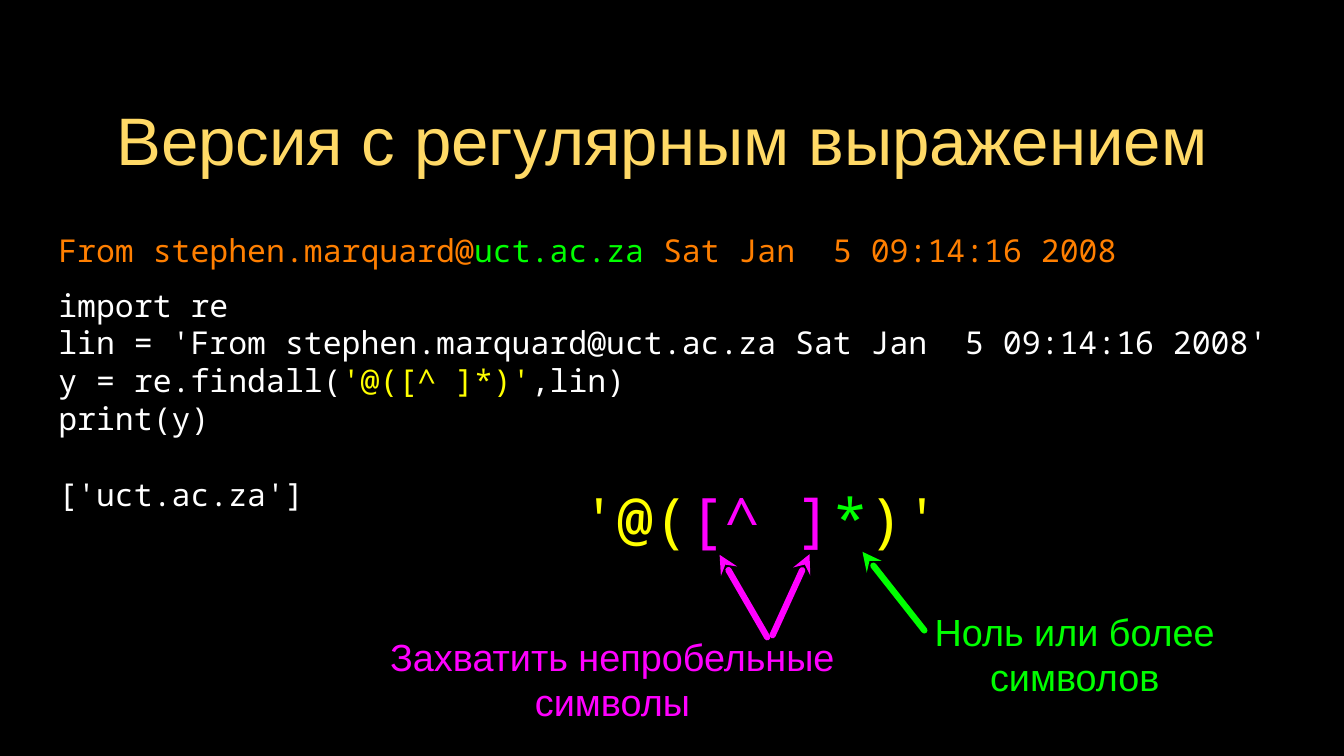
from lxml.etree import SubElement as Sub
from pptx import Presentation as Deck
from pptx.dml.color import RGBColor as Rgb
from pptx.enum.shapes import MSO_CONNECTOR as Link
from pptx.enum.text import MSO_ANCHOR as Anchor, PP_ALIGN as Align
from pptx.oxml.ns import qn
from pptx.util import Cm, Pt

SANS, MONO = "Arial", "Noto Sans Mono"
WHITE, GOLD, ORANGE = "FFFFFF", "FFD966", "FF7F00"
YELLOW, PINK, GREEN = "FFFF00", "FF00FF", "00FF00"


def color(code):
    return Rgb.from_string(code)


def assign(item, values):
    for name, value in values.items():
        setattr(item, name, value)


def add_text(slide, box, lines, font, size, align=Align.LEFT, inset=0):
    """Each line is a list of (text, colour) runs."""
    frame = slide.shapes.add_textbox(*map(Cm, box)).text_frame
    sides = ("left", "top", "right", "bottom")
    assign(frame, {f"margin_{side}": Cm(inset) for side in sides})
    assign(frame, {"word_wrap": True, "vertical_anchor": Anchor.MIDDLE})
    for i, runs in enumerate(lines):
        para = frame.paragraphs[0] if i == 0 else frame.add_paragraph()
        para.alignment = align
        for text, code in runs:
            run = para.add_run()
            run.text = text
            assign(run.font, {"name": font, "size": Pt(size)})
            run.font.color.rgb = color(code)
    return frame


def add_arrow(slide, tip, tail, code):
    arrow = slide.shapes.add_connector(Link.STRAIGHT, *map(Cm, tip + tail))
    arrow.line.width = Pt(6)
    arrow.line.color.rgb = color(code)
    line = arrow.line._get_or_add_ln()
    line.set("cap", "rnd")
    Sub(line, qn("a:headEnd"), type="stealth", w="med", len="med")
    Sub(arrow._element.spPr, qn("a:effectLst"))


def main():
    deck = Deck()
    assign(deck, {"slide_width": Cm(45.16), "slide_height": Cm(25.4)})
    slide = deck.slides.add_slide(deck.slide_layouts[6])
    fill = slide.background.fill
    fill.solid()
    fill.fore_color.rgb = color("000000")

    # Title
    add_text(slide, (3.2, 2.26, 38.71, 4.8),
             [[("Версия с регулярным выражением ", GOLD)]],
             SANS, 64, Align.CENTER, 0.1)

    # Mail line
    add_text(slide, (1.96, 7.47, 39.52, 1.88),
             [[("From stephen.marquard@", ORANGE), ("uct.ac.za", GREEN),
               (" Sat Jan  5 09:14:16 2008", ORANGE)]], MONO, 30)

    # Code, with its output set one line apart
    code = add_text(slide, (1.96, 9.8, 41.45, 7.21), [
        [("import re", WHITE)],
        [("lin = 'From stephen.marquard@uct.ac.za Sat Jan  5 09:14:16 2008'",
          WHITE)],
        [("y = re.findall(", WHITE), ("'@([^ ]*)'", YELLOW),
         (",lin)", WHITE)],
        [("print(y)", WHITE)],
        [("['uct.ac.za']", WHITE)],
    ], MONO, 30)
    for para in code.paragraphs:
        para.line_spacing = Pt(36)
    code.paragraphs[-1].space_before = Pt(36)

    # Pattern
    add_text(slide, (19.53, 16.18, 12.19, 2.44),
             [[("'@(", YELLOW), ("[^ ]", PINK), ("*", GREEN),
               (")'", YELLOW)]], MONO, 57)

    # Notes on the pattern
    for box, text, shade in (
            ((12.07, 21.95, 17.02, 1.73),
             "Захватить непробельные символы", PINK),
            ((30.02, 21.11, 12.19, 1.73), "Ноль или более символов", GREEN)):
        add_text(slide, box, [[(text, shade)]], SANS, 36, Align.CENTER)

    # Arrows from the notes to the pattern
    for tip, tail, shade in (
            ((24.18, 18.64), (25.78, 21.41), PINK),
            ((27.2, 18.62), (25.96, 21.34), PINK),
            ((28.98, 18.54), (31.06, 21.18), GREEN)):
        add_arrow(slide, tip, tail, shade)

    deck.save("out.pptx")


if __name__ == "__main__":
    main()
